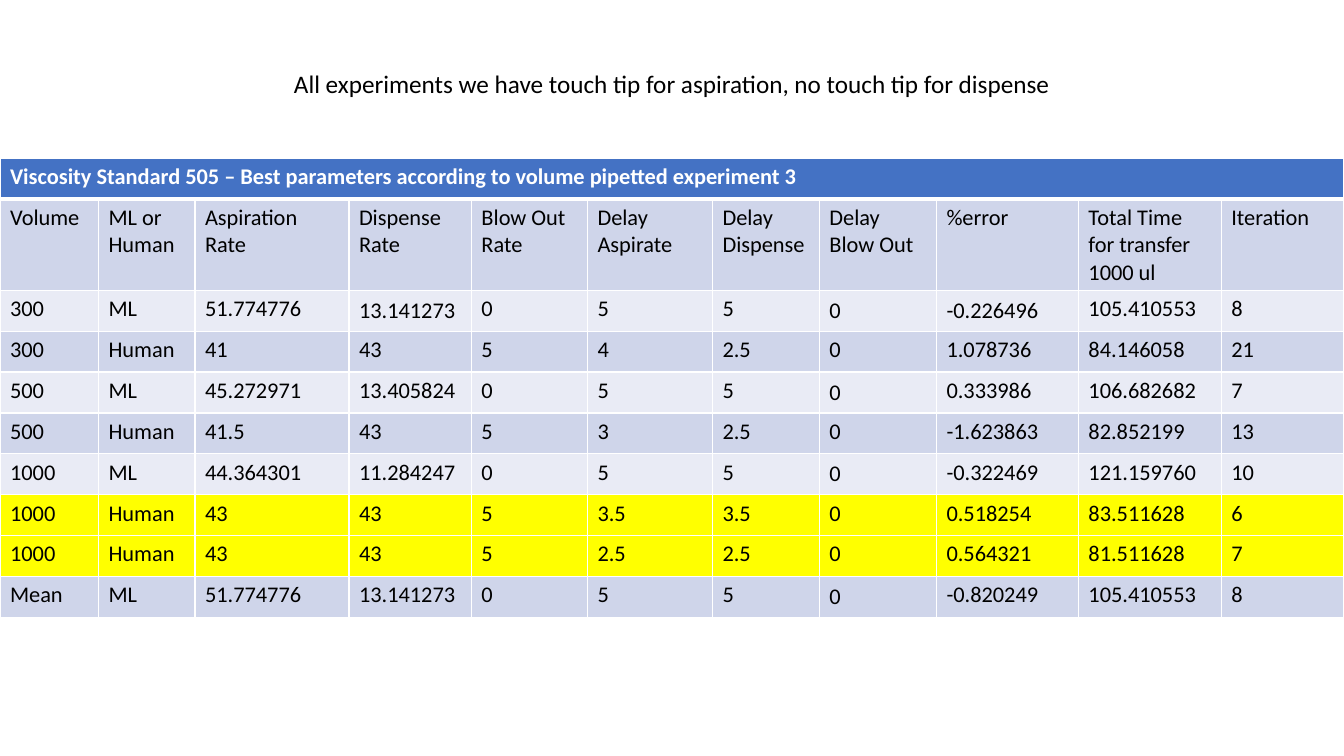
from lxml.etree import SubElement
from pptx import Presentation
from pptx.dml.color import RGBColor
from pptx.enum.text import MSO_ANCHOR as Anchor, MSO_AUTO_SIZE as AutoSize, PP_ALIGN as Align
from pptx.oxml.ns import qn
from pptx.util import Pt

BLACK = RGBColor(0x00, 0x00, 0x00)
WHITE = RGBColor(0xFF, 0xFF, 0xFF)
BLUE = RGBColor(0x44, 0x72, 0xC4)
DARK_BAND = RGBColor(0xCF, 0xD5, 0xEA)
LIGHT_BAND = RGBColor(0xE9, 0xEB, 0xF5)
YELLOW = RGBColor(0xFF, 0xFF, 0x00)

TABLE_TITLE = "Viscosity Standard 505 – Best parameters according to volume pipetted experiment 3"
ROWS = [
    [TABLE_TITLE] + [""] * 10,
    ["Volume", "ML or Human", "Aspiration Rate", "Dispense Rate", "Blow Out Rate", "Delay Aspirate",
     "Delay Dispense", "Delay Blow Out", "%error", "Total Time for transfer 1000 ul", "Iteration"],
    ["300", "ML", "51.774776", "13.141273", "0", "5", "5", "0", "-0.226496", "105.410553", "8"],
    ["300", "Human", "41", "43", "5", "4", "2.5", "0", "1.078736", "84.146058", "21"],
    ["500", "ML", "45.272971", "13.405824", "0", "5", "5", "0", "0.333986", "106.682682", "7"],
    ["500", "Human", "41.5", "43", "5", "3", "2.5", "0", "-1.623863", "82.852199", "13"],
    ["1000", "ML", "44.364301", "11.284247", "0", "5", "5", "0", "-0.322469", "121.159760", "10"],
    ["1000", "Human", "43", "43", "5", "3.5", "3.5", "0", "0.518254", "83.511628", "6"],
    ["1000", "Human", "43", "43", "5", "2.5", "2.5", "0", "0.564321", "81.511628", "7"],
    ["Mean", "ML", "51.774776", "13.141273", "0", "5", "5", "0", "-0.820249", "105.410553", "8"],
]
COLUMN_WIDTHS = [70.4, 68.9, 110, 87.5, 82.9, 89.3, 76.4, 83.6, 101.4, 102.1, 87.5]
ROW_HEIGHT = 29.2
HEADING_HEIGHT = 65.2
ROW_FILLS = [BLUE] + [DARK_BAND, LIGHT_BAND] * 3 + [YELLOW, YELLOW, DARK_BAND]
MIDDLE_CELLS = {(2, 3), (2, 8)}
DELAY_BLOW_OUT = 7


def write(frame, text, size=16, color=BLACK, bold=False, align=Align.LEFT):
    para = frame.paragraphs[0]
    para.alignment = align
    span = para.add_run()
    span.text = text
    span.font.name = "Calibri"
    span.font.size = Pt(size)
    span.font.bold = bold
    span.font.color.rgb = color


def add_border(cell, side, width):
    line = SubElement(cell._tc.get_or_add_tcPr(), qn(f"a:ln{side}"), w=str(Pt(width)))
    fill = SubElement(line, qn("a:solidFill"))
    SubElement(fill, qn("a:srgbClr"), val=str(WHITE))


deck = Presentation()
deck.slide_width = Pt(960)
deck.slide_height = Pt(540)
page = deck.slides.add_slide(deck.slide_layouts[5])

title = page.shapes.title
title.left, title.top, title.width, title.height = Pt(140.4), Pt(45.4), Pt(679), Pt(29)
title.text_frame.word_wrap = True
title.text_frame.auto_size = AutoSize.SHAPE_TO_FIT_TEXT
title.text_frame.vertical_anchor = Anchor.TOP
write(title.text_frame, "All experiments we have touch tip for aspiration, no touch tip for dispense",
      size=18, align=Align.CENTER)

table_height = ROW_HEIGHT * (len(ROWS) - 1) + HEADING_HEIGHT
table = page.shapes.add_table(len(ROWS), len(COLUMN_WIDTHS), Pt(0), Pt(113),
                              Pt(960), Pt(table_height)).table
for column, width in zip(table.columns, COLUMN_WIDTHS):
    column.width = Pt(width)

for row_index, values in enumerate(ROWS):
    table.rows[row_index].height = Pt(HEADING_HEIGHT if row_index == 1 else ROW_HEIGHT)
    is_title = row_index == 0
    for column_index, value in enumerate(values):
        cell = table.cell(row_index, column_index)
        for side in "LRTB":
            under_title = (row_index, side) in [(0, "B"), (1, "T")]
            add_border(cell, side, 3 if under_title else 1)
        cell.fill.solid()
        cell.fill.fore_color.rgb = ROW_FILLS[row_index]
        ml_delay = values[1] == "ML" and column_index == DELAY_BLOW_OUT
        if ml_delay or (row_index, column_index) in MIDDLE_CELLS:
            cell.vertical_anchor = Anchor.MIDDLE
        if value:
            write(cell.text_frame, value, color=WHITE if is_title else BLACK, bold=is_title)

table.cell(0, 0).merge(table.cell(0, len(COLUMN_WIDTHS) - 1))

deck.save("out.pptx")
